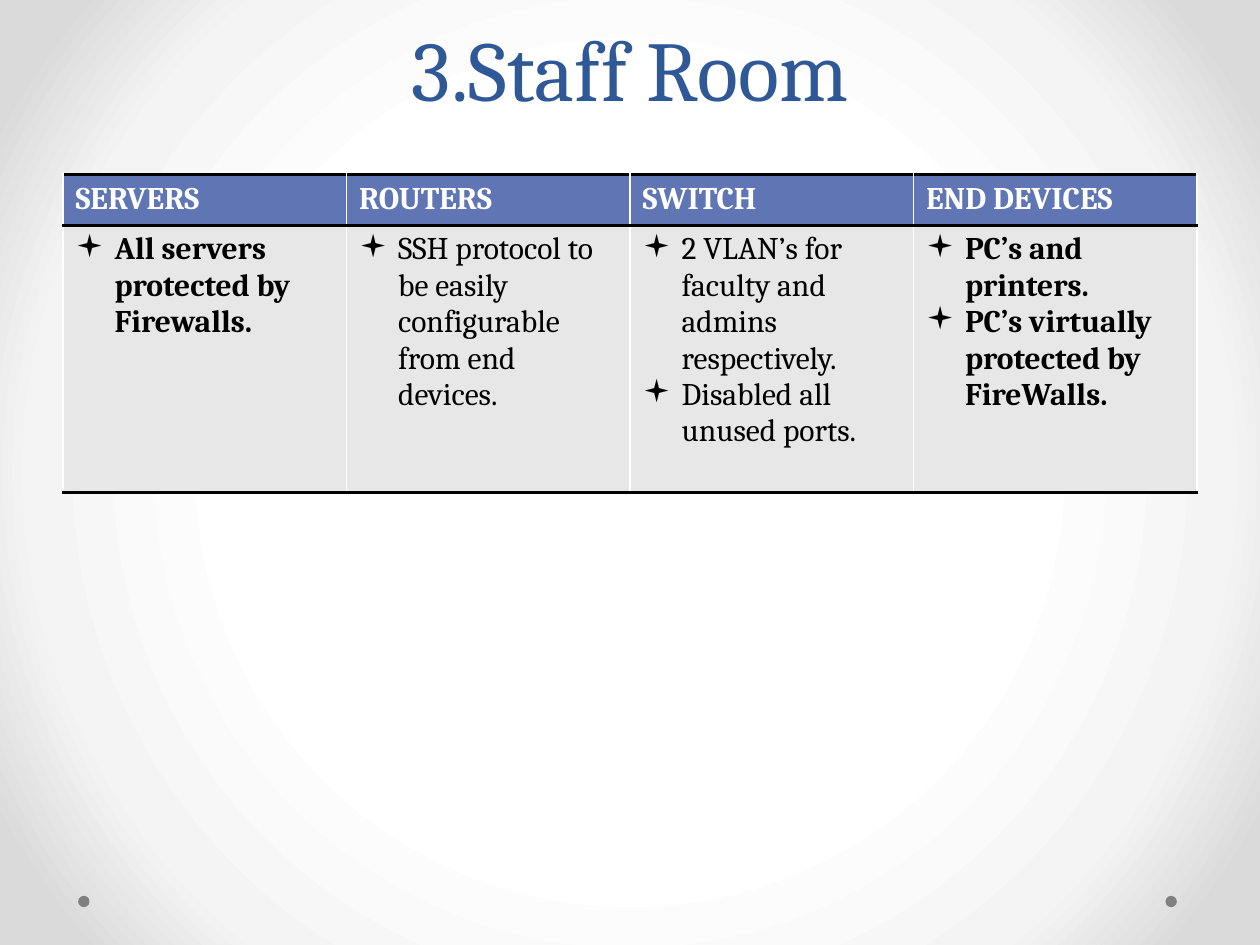
from lxml import etree
from pptx import Presentation, util as u
from pptx.dml.color import RGBColor
from pptx.enum import shapes, text
from pptx.oxml import parse_xml
from pptx.oxml.ns import nsdecls, qn

WIDTH, HEIGHT = u.Inches(10), u.Inches(7.5)
FONT = "Cambria"
NAVY = RGBColor(0x2F, 0x58, 0x97)
BLUE = RGBColor(0x60, 0x76, 0xB4)
PALE = RGBColor(0xE7, 0xE7, 0xE7)
GRAY = RGBColor(0x80, 0x80, 0x80)
WHITE = RGBColor(0xFF, 0xFF, 0xFF)
BLACK = RGBColor(0, 0, 0)
GLOW_STOPS = [(50, WHITE), (76, RGBColor(0xF4, 0xF4, 0xF4)), (92, RGBColor(0xDA, 0xDA, 0xDA))]

# Heading, whether the column is bold, bullet items
COLUMNS = [
    ("SERVERS", True, ["All servers protected by Firewalls."]),
    ("ROUTERS", False, ["SSH protocol to be easily configurable from end devices."]),
    ("SWITCH", False, ["2 VLAN’s for faculty and admins respectively.",
                       "Disabled all unused ports."]),
    ("END DEVICES", True, ["PC’s and printers.",
                           "PC’s virtually protected by FireWalls."]),
]


def share(left, top, width, height):
    """Turn shares of the slide into a box of lengths."""
    return [int(part * side) for part, side in
            zip((left, top, width, height), (WIDTH, HEIGHT) * 2)]


def write(paragraph, words, color, **font_format):
    run = paragraph.add_run()
    run.text = words
    run.font.color.rgb = color
    for name, value in {"name": FONT, **font_format}.items():
        setattr(run.font, name, value)


def add_bullet(paragraph):
    properties = paragraph._p.get_or_add_pPr()
    indent = u.Inches(0.31)
    properties.set("marL", str(indent))
    properties.set("indent", str(-indent))
    etree.SubElement(properties, qn("a:buFont"), typeface="Wingdings")
    etree.SubElement(properties, qn("a:buChar"), char="▪")


def set_rule(cell, edge):
    """Draw a black rule on one edge; rules go before the fill."""
    cell._tc.get_or_add_tcPr().append(parse_xml(
        f'<a:{edge} {nsdecls("a")} w="{u.Pt(2)}"><a:solidFill>'
        f'<a:srgbClr val="{BLACK}"/></a:solidFill></a:{edge}>'))


def paint_background(slide):
    fill = slide.background.fill
    fill.gradient()
    gradient = slide.background._cSld.find(".//" + qn("a:gradFill"))
    for child in list(gradient):
        gradient.remove(child)
    stops = etree.SubElement(gradient, qn("a:gsLst"))
    for position, color in GLOW_STOPS:
        stop = etree.SubElement(stops, qn("a:gs"), pos=str(position * 1000))
        etree.SubElement(stop, qn("a:srgbClr"), val=str(color))
    glow = etree.SubElement(gradient, qn("a:path"), path="circle")
    etree.SubElement(glow, qn("a:fillToRect"), dict.fromkeys("ltrb", "50000"))


def add_corner_dots(slide, box):
    left, top, width, size = box
    for dot_left in (left, left + width - size):
        dot = slide.shapes.add_shape(shapes.MSO_SHAPE.OVAL, dot_left, top, size, size)
        dot.shadow.inherit = False
        dot.fill.solid()
        dot.fill.fore_color.rgb = GRAY
        dot.line.fill.background()


def add_title(slide, box, words):
    frame = slide.shapes.add_textbox(*box).text_frame
    frame.word_wrap = True
    frame.vertical_anchor = text.MSO_ANCHOR.BOTTOM
    paragraph = frame.paragraphs[0]
    paragraph.alignment = text.PP_ALIGN.CENTER
    paragraph.line_spacing = u.Pt(58)
    write(paragraph, words, NAVY, size=u.Pt(48.6))


def add_device_table(slide, box):
    table = slide.shapes.add_table(2, len(COLUMNS), *box).table
    table.rows[0].height = int(box[3] * 0.155)
    table.rows[1].height = box[3] - table.rows[0].height
    for index, (heading, bold, items) in enumerate(COLUMNS):
        head, body = table.cell(0, index), table.cell(1, index)
        for cell, edges, color in ((head, ("lnT", "lnB"), BLUE),
                                   (body, ("lnT", "lnB"), PALE)):
            for edge in edges:
                set_rule(cell, edge)
            cell.fill.solid()
            cell.fill.fore_color.rgb = color
        write(head.text_frame.paragraphs[0], heading, WHITE, size=u.Pt(18), bold=True)
        for number, item in enumerate(items):
            frame = body.text_frame
            paragraph = frame.add_paragraph() if number else frame.paragraphs[0]
            add_bullet(paragraph)
            write(paragraph, item, BLACK, size=u.Pt(18), bold=bold)


def main():
    presentation = Presentation()
    presentation.slide_width, presentation.slide_height = WIDTH, HEIGHT
    slide = presentation.slides.add_slide(presentation.slide_layouts[6])
    paint_background(slide)
    add_corner_dots(slide, share(0.062, 0.948, 0.872, 0.012))
    add_title(slide, share(0.05, 0.04, 0.9, 0.092), "3.Staff Room")
    add_device_table(slide, share(0.05, 0.185, 0.9, 0.335))
    presentation.save("out.pptx")


if __name__ == "__main__":
    main()
